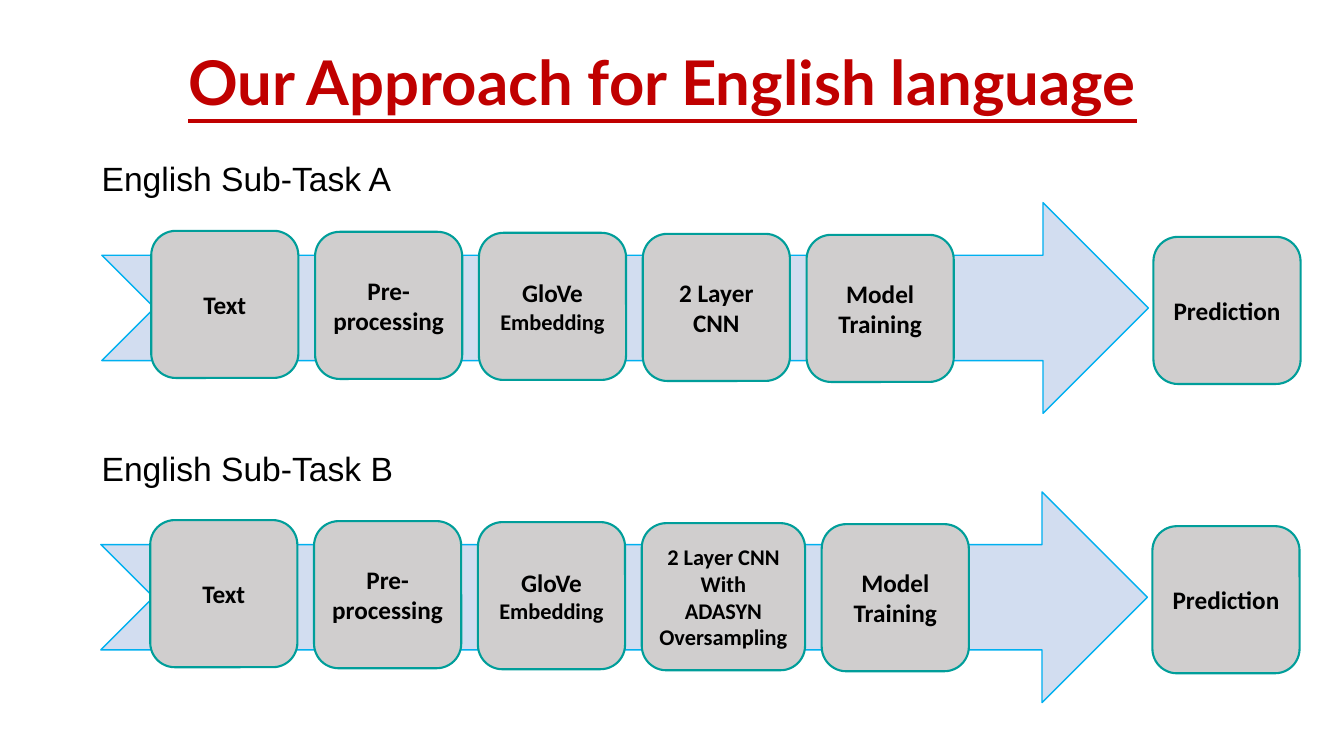
from lxml import etree
from pptx import Presentation
from pptx.dml.color import RGBColor
from pptx.enum.shapes import MSO_SHAPE
from pptx.enum.text import MSO_ANCHOR, MSO_AUTO_SIZE, PP_ALIGN
from pptx.oxml.ns import qn
from pptx.util import Inches, Pt

ARROW = MSO_SHAPE.NOTCHED_RIGHT_ARROW
ROUNDED = MSO_SHAPE.ROUNDED_RECTANGLE
CENTER = PP_ALIGN.CENTER
MIDDLE = MSO_ANCHOR.MIDDLE
NO_AUTOFIT = MSO_AUTO_SIZE.NONE
TITLE_ONLY = 5

# Layout in inches
BOX = 1.46
STEP_COUNT = 5
FIRST_STEP, LAST_STEP = 1.5, 8
GAP = (LAST_STEP - FIRST_STEP) / (STEP_COUNT - 1) - BOX
STEP_DROP = 0.01


def color(hex_code):
    return RGBColor.from_string(hex_code)


class PipelineSlide:
    RED, BLACK = "C00000", "000000"
    ARROW_FILL, ARROW_LINE = "B4C7E7", "00B0F0"
    BOX_FILL, BOX_LINE = "D0CECE", "009E9A"

    def __init__(self, slide):
        self.slide = slide

    def format(self, paragraph, font, size, ink=BLACK, bold=False, underline=False):
        for run in paragraph.runs:
            run.font.name = font
            run.font.size = Pt(size)
            run.font.bold = bold
            run.font.underline = underline
            run.font.color.rgb = color(ink)

    def title(self, text):
        title = self.slide.shapes.title
        title.left, title.top = Inches(0.82), Inches(0.42)
        title.width, title.height = Inches(11.5), Inches(0.85)
        frame = title.text_frame
        frame.text = text
        frame.auto_size = NO_AUTOFIT
        frame.vertical_anchor = MIDDLE
        heading = frame.paragraphs[0]
        heading.alignment = CENTER
        heading.line_spacing = 0.9
        self.format(heading, "Lato", 44, self.RED, bold=True, underline=True)

    def label(self, text, left, top):
        label = self.slide.shapes.add_textbox(
            Inches(left), Inches(top), Inches(3.5), Inches(0.5))
        label.text_frame.word_wrap = True
        label.text_frame.text = text
        self.format(label.text_frame.paragraphs[0], "Arial", 24)

    def shape(self, kind, left, top, width, height, fill, line, line_width):
        shape = self.slide.shapes.add_shape(
            kind, Inches(left), Inches(top), Inches(width), Inches(height))
        shape.shadow.inherit = False
        shape.fill.solid()
        shape.fill.fore_color.rgb = color(fill)
        shape.line.color.rgb = color(line)
        shape.line.width = Pt(line_width)
        return shape

    def arrow(self, left, top):
        arrow = self.shape(ARROW, left, top, 10.38, 2.09,
                           self.ARROW_FILL, self.ARROW_LINE, 1)
        # 60 % opacity
        fill_color = arrow.fill._xPr.find(qn("a:solidFill"))[0]
        etree.SubElement(fill_color, qn("a:alpha")).set("val", "60000")

    def box(self, lines, left, top, width=BOX):
        box = self.shape(ROUNDED, left, top, width, BOX,
                         self.BOX_FILL, self.BOX_LINE, 1.5)
        frame = box.text_frame
        frame.word_wrap = True
        frame.vertical_anchor = MIDDLE
        frame.text = "\n".join(text for text, _ in lines)
        for paragraph, (_, size) in zip(frame.paragraphs, lines):
            paragraph.alignment = CENTER
            self.format(paragraph, "Calibri", size, bold=True)

    def pipeline(self, name, steps, dx, dy):
        self.label(name, 0.91, 1.52 + dy)
        self.arrow(1.01 + dx, 2.01 + dy)
        left = FIRST_STEP + dx
        for index, (lines, width) in enumerate(steps):
            self.box(lines, left, 2.29 + index * STEP_DROP + dy, width)
            left += width + GAP
        self.box([("Prediction", 18)], 11.44 + dx, 2.35 + dy)


prs = Presentation()
prs.slide_width, prs.slide_height = Inches(13.33), Inches(7.5)
page = PipelineSlide(prs.slides.add_slide(prs.slide_layouts[TITLE_ONLY]))
page.title("Our Approach for English language")

# Steps: lines with their sizes, then box width
preparation = [
    ([("Text", 18)], BOX),
    ([("Pre-processing", 18)], BOX),
    ([("GloVe", 18), ("Embedding", 16)], BOX),
]
plain_cnn = ([("2 Layer CNN", 18)], BOX)
oversampled_cnn = (
    [("2 Layer CNN", 16), ("With", 16), ("ADASYN Oversampling", 16)], 1.62)
training = ([("Model Training", 18)], BOX)

# One pipeline per sub-task
page.pipeline("English Sub-Task A", preparation + [plain_cnn, training], 0, 0)
page.pipeline("English Sub-Task B", preparation + [oversampled_cnn, training],
              -0.01, 2.87)

prs.save("out.pptx")
